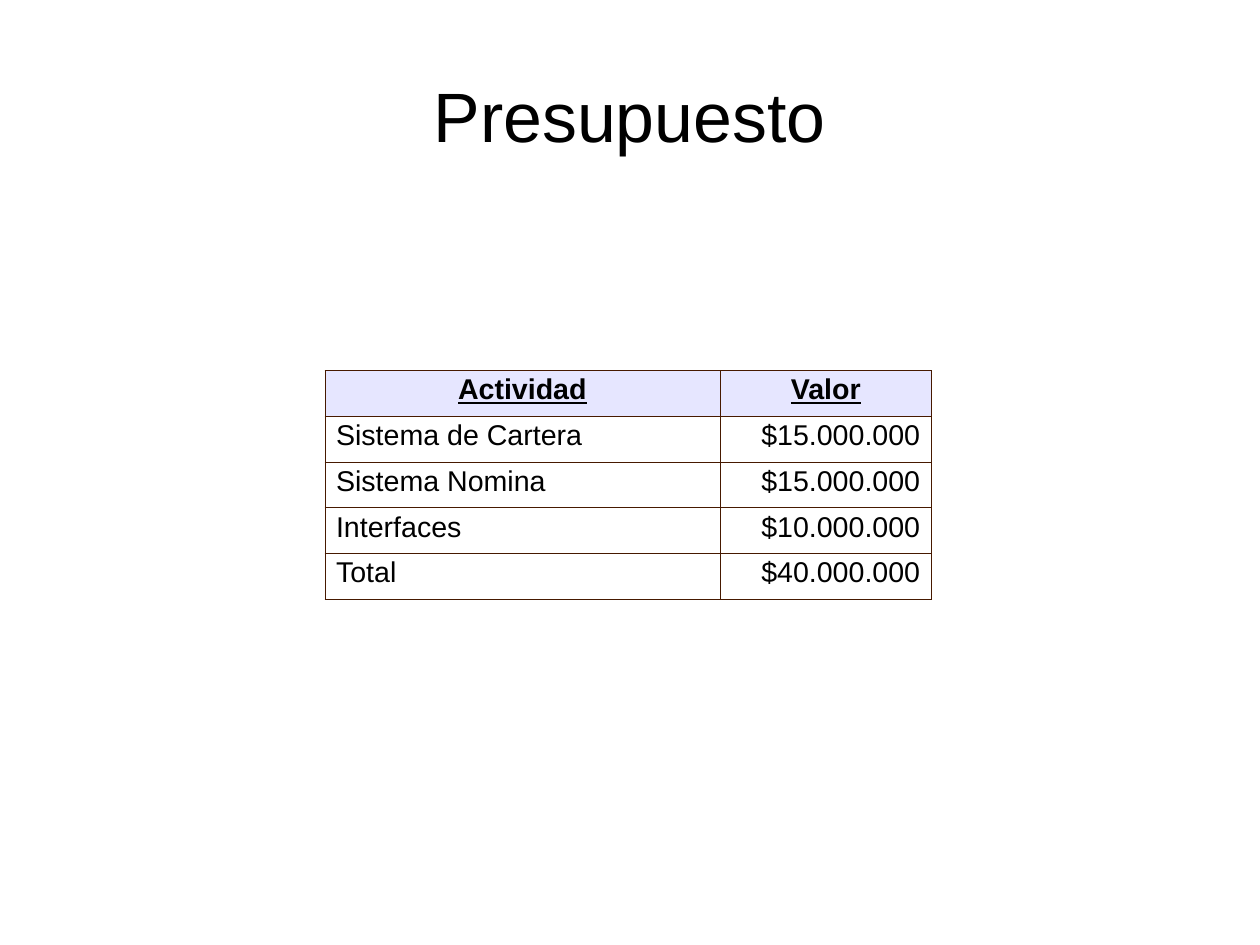
import pptx
import pptx.dml.color
import pptx.enum.text
import pptx.oxml
import pptx.oxml.ns
import pptx.util
import lxml.etree

Inches = pptx.util.Inches
Cm = pptx.util.Cm
Pt = pptx.util.Pt
ALIGN = pptx.enum.text.PP_ALIGN
ANCHOR = pptx.enum.text.MSO_ANCHOR


def color(value):
    return pptx.dml.color.RGBColor.from_string(value)


class Deck:
    font = "Arial"
    ink = "000000"
    border = "461900"
    header_fill = "E6E6FF"
    body_fill = "FFFFFF"
    line_spacing = 0.93

    def __init__(self, width, height):
        self.prs = pptx.Presentation()
        self.prs.slide_width = width
        self.prs.slide_height = height
        self.s = self.prs.slides.add_slide(self.prs.slide_layouts[5])

    def text(self, tf, text, size, align, bold=False):
        tf.text = text
        p = tf.paragraphs[0]
        p.alignment = align
        p.line_spacing = self.line_spacing
        r = p.runs[0]
        r.font.name = self.font
        r.font.size = Pt(size)
        r.font.bold = bold
        r.font.underline = bold
        r.font.color.rgb = color(self.ink)

    def title(self, text, left, top, width, height):
        sp = self.s.shapes.title
        sp.left, sp.top = Inches(left), Inches(top)
        sp.width, sp.height = Inches(width), Inches(height)
        tf = sp.text_frame
        tf.margin_left = tf.margin_right = tf.margin_bottom = 0
        tf.margin_top = Inches(0.04)
        tf.vertical_anchor = ANCHOR.MIDDLE
        self.text(tf, text, 44, ALIGN.CENTER)

    def borders(self, cell):
        tcPr = cell._tc.get_or_add_tcPr()
        qn = pptx.oxml.ns.qn
        for i, side in enumerate(("lnL", "lnR", "lnT", "lnB")):
            ln = lxml.etree.Element(qn("a:" + side), w=str(Pt(0.06)))
            fill = lxml.etree.SubElement(ln, qn("a:solidFill"))
            lxml.etree.SubElement(fill, qn("a:srgbClr"), val=self.border)
            tcPr.insert(i, ln)

    def table(self, rows, left, top, widths, row_height):
        frame = self.s.shapes.add_table(
            len(rows), len(widths), Inches(left), Inches(top),
            Inches(sum(widths)), Inches(row_height * len(rows)))
        table = frame.table
        for column, width in zip(table.columns, widths):
            column.width = Inches(width)
        for i, row in enumerate(rows):
            table.rows[i].height = Inches(row_height)
            header = i == 0
            for j, (value, align) in enumerate(zip(row, (ALIGN.LEFT, ALIGN.RIGHT))):
                cell = table.cell(i, j)
                cell.fill.solid()
                cell.fill.fore_color.rgb = color(self.header_fill if header else self.body_fill)
                cell.margin_left = cell.margin_right = Inches(0.1)
                cell.margin_top = cell.margin_bottom = Inches(0.05)
                cell.vertical_anchor = ANCHOR.TOP
                self.text(cell.text_frame, value, 18, ALIGN.CENTER if header else align, header)
                self.borders(cell)


def main():
    deck = Deck(Cm(28), Cm(21))
    deck.title("Presupuesto", 0.55, 0.33, 9.92, 1.38)
    budget = [
        ("Actividad", "Valor"),
        ("Sistema de Cartera", "$15.000.000"),
        ("Sistema Nomina", "$15.000.000"),
        ("Interfaces", "$10.000.000"),
        ("Total", "$40.000.000"),
    ]
    deck.table(budget, 2.84, 3.24, (3.46, 1.85), 0.4)
    deck.prs.save("out.pptx")


if __name__ == "__main__":
    main()
